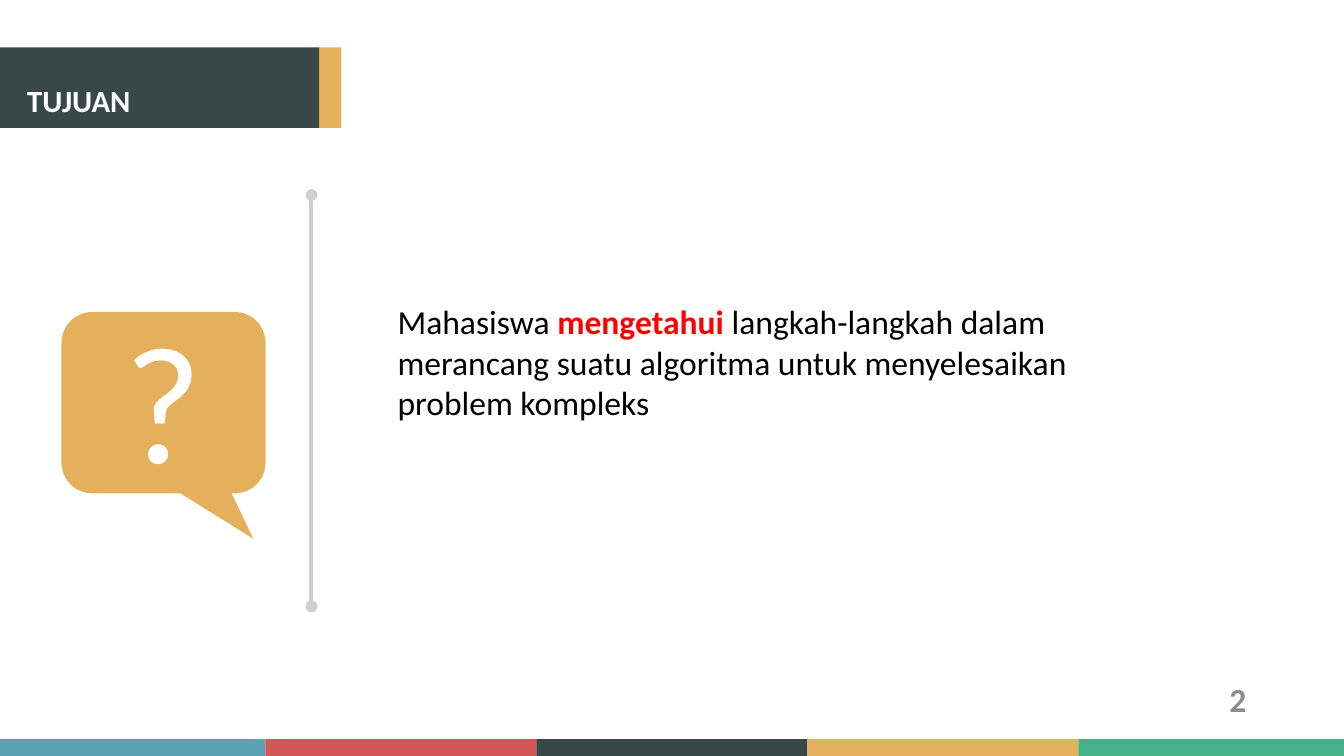
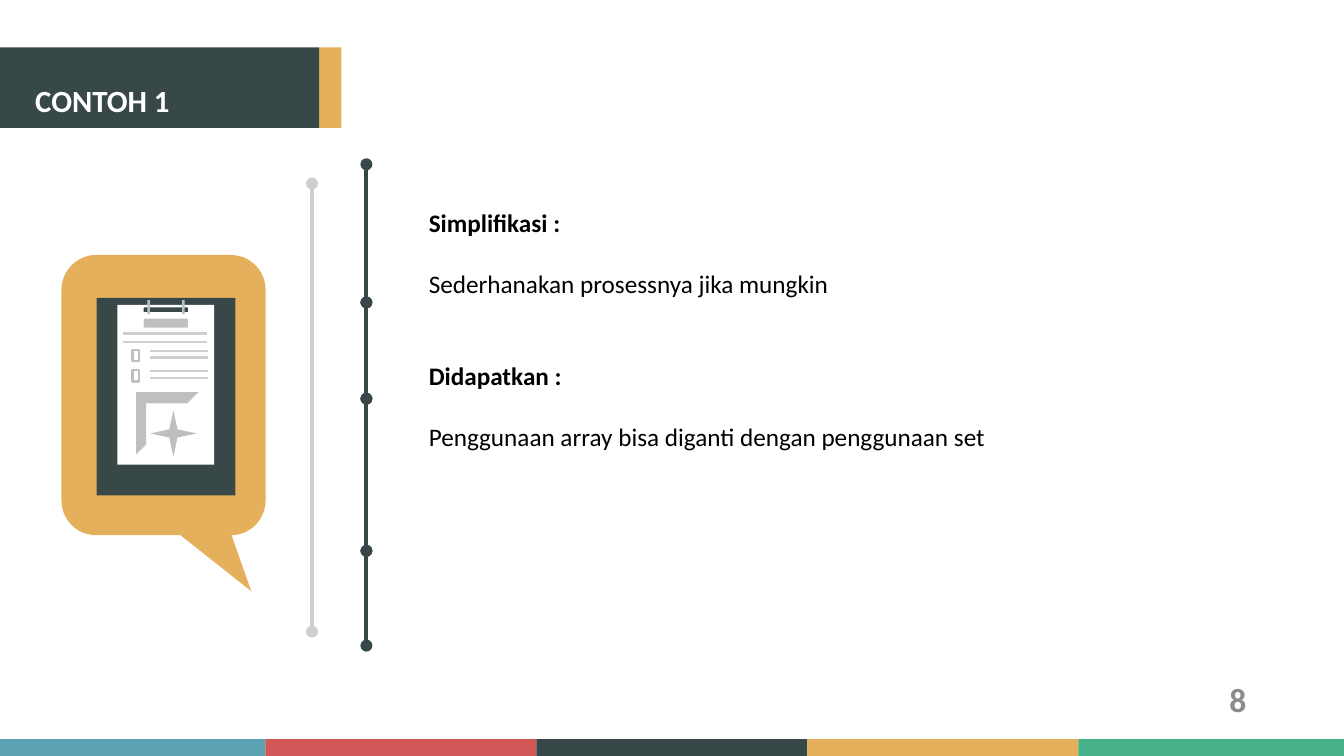
from dataclasses import dataclass
from itertools import pairwise
from typing import NamedTuple

from lxml.etree import SubElement
from pptx import Presentation
from pptx.dml.color import RGBColor
from pptx.enum.shapes import MSO_CONNECTOR, MSO_SHAPE
from pptx.enum.text import MSO_ANCHOR, MSO_AUTO_SIZE, PP_ALIGN
from pptx.oxml.ns import qn
from pptx.slide import Slide
from pptx.util import Inches, Pt

WIDE, HIGH = Inches(26.67), Inches(15)
COLS, ROWS = 80, 45
TEAL, ROSE, DARK, GOLD, GREEN = "5BA2B2", "D15656", "384849", "E5B05C", "47B289"
WHITE, BLACK, RED = "FFFFFF", "000000", "FF0000"
PALE, GREY, DIM = "D0CECE", "BFBFBF", "8C8C8C"
RECT, ROUND = MSO_SHAPE.RECTANGLE, MSO_SHAPE.ROUNDED_RECTANGLE
CALL = MSO_SHAPE.ROUNDED_RECTANGULAR_CALLOUT
FIT = {"word_wrap": True, "auto_size": MSO_AUTO_SIZE.SHAPE_TO_FIT_TEXT}
LOOSE = FIT | {"word_wrap": False}
MID = {"word_wrap": True, "vertical_anchor": MSO_ANCHOR.MIDDLE}


class Box(NamedTuple):
    """A place on the grid, in columns and rows."""
    col: float
    row: float
    wide: float
    high: float


class Run(NamedTuple):
    """A stretch of text in one look."""
    text: str
    bold: bool = False
    hue: str = BLACK


class Para(NamedTuple):
    """A paragraph and the points of space after it."""
    runs: list[Run]
    gap: float = 0


@dataclass
class Form:
    """A filled preset shape."""
    kind: MSO_SHAPE
    box: Box
    fill: str
    edge: str = ""
    turn: float = 0
    bends: tuple[float, ...] = ()


@dataclass
class Page:
    """What differs in the frame of each slide."""
    title: str
    inset: float
    number: str
    rail: tuple[float, float, float]
    bubble: Box
    tail: tuple[float, float, float]


def tint(code: str) -> RGBColor:
    """Turn a hex string into a colour."""
    return RGBColor.from_string(code)


def across(col: float) -> int:
    """Turn columns into a length."""
    return round(WIDE * col / COLS)


def down(row: float) -> int:
    """Turn rows into a length."""
    return round(HIGH * row / ROWS)


def place(box: Box) -> tuple[int, int, int, int]:
    """Turn a grid box into lengths."""
    return across(box.col), down(box.row), across(box.wide), down(box.high)


def dress(item: object, looks: dict) -> None:
    """Set each attribute named in the dict."""
    for name, value in looks.items():
        setattr(item, name, value)


def draw(slide: Slide, form: Form) -> None:
    """Add a preset shape."""
    shape = slide.shapes.add_shape(form.kind, *place(form.box))
    shape.shadow.inherit = False
    shape.rotation = form.turn
    shape.fill.solid()
    shape.fill.fore_color.rgb = tint(form.fill)
    if form.edge:
        shape.line.color.rgb = tint(form.edge)
        shape.line.width = Pt(3)
    else:
        shape.line.fill.background()
    for spot, bend in enumerate(form.bends):
        shape.adjustments[spot] = bend


def link(slide: Slide, start: tuple[float, float], end: tuple[float, float],
         hue: str, size: float, dots: bool = False) -> None:
    """Add a straight line, with round ends if asked."""
    line = slide.shapes.add_connector(
        MSO_CONNECTOR.STRAIGHT, across(start[0]), down(start[1]),
        across(end[0]), down(end[1]))
    line.line.color.rgb = tint(hue)
    line.line.width = Pt(size)
    if dots:
        for tag in ("a:headEnd", "a:tailEnd"):
            SubElement(line.line._get_or_add_ln(), qn(tag), type="oval")
    SubElement(line._element.spPr, qn("a:effectLst"))


def write(slide: Slide, box: Box, size: float, paras: list[Para],
          frame: dict, align: PP_ALIGN = PP_ALIGN.LEFT) -> None:
    """Add a text box."""
    body = slide.shapes.add_textbox(*place(box)).text_frame
    dress(body, frame)
    for spot, para in enumerate(paras):
        line = body.add_paragraph() if spot else body.paragraphs[0]
        dress(line, {"alignment": align, "space_after": Pt(para.gap)})
        for part in para.runs:
            run = line.add_run()
            run.text = part.text
            dress(run.font, {"name": "Calibri", "size": Pt(size), "bold": part.bold})
            run.font.color.rgb = tint(part.hue)


def begin(deck: Presentation, page: Page) -> Slide:
    """Add a slide with its bands, title, rail, bubble and number."""
    slide = deck.slides.add_slide(deck.slide_layouts[6])
    edges = [0, *(15.8 + 16.13 * step for step in range(4)), COLS]
    for (left, right), hue in zip(pairwise(edges), (TEAL, ROSE, DARK, GOLD, GREEN)):
        draw(slide, Form(RECT, Box(left, 44, right - left, 1), hue))
    draw(slide, Form(RECT, Box(19, 2.82, 1.32, 4.8), GOLD))
    draw(slide, Form(RECT, Box(0, 2.82, 19, 4.8), DARK))
    write(slide, Box(page.inset, 4.74, 17, 2.52), 44,
          [Para([Run(page.title, True, WHITE)])], FIT)
    col, top, base = page.rail
    link(slide, (col, base), (col, top), PALE, 5.75, True)
    draw(slide, Form(CALL, page.bubble, GOLD, bends=page.tail))
    write(slide, Box(56.49, 40.44, 18, 2.4), 48,
          [Para([Run(page.number, True, DIM)])], MID, PP_ALIGN.RIGHT)
    return slide


def clip(slide: Slide) -> None:
    """Draw the clipboard with its sheet."""
    draw(slide, Form(RECT, Box(5.76, 17.73, 8.25, 11.76), DARK))
    draw(slide, Form(RECT, Box(6.99, 18.15, 5.76, 9.51), WHITE))
    for left, right, rows in ((7.33, 12.3, (19.86, 20.37)),
                              (8.94, 12.36, (20.88, 21.27, 22.08, 22.5))):
        for row in rows:
            link(slide, (right, row), (left, row), PALE, 3.5)
    for row in (20.82, 22.05):
        draw(slide, Form(RECT, Box(7.89, row, 0.39, 0.66), WHITE, GREY))
    draw(slide, Form(ROUND, Box(8.55, 18.3, 2.64, 0.27), DARK))
    for col in (8.43, 10.5):
        draw(slide, Form(ROUND, Box(col, 18.21, 0.84, 0.15), GREY, turn=90))
    draw(slide, Form(ROUND, Box(8.55, 18.96, 2.64, 0.54), GREY))
    draw(slide, Form(MSO_SHAPE.HALF_FRAME, Box(8.1, 23.34, 3.72, 3.72), GREY,
                     bends=(0.18, 0.16)))
    draw(slide, Form(MSO_SHAPE.STAR_4_POINT, Box(8.94, 24.42, 2.76, 2.76), GREY))


def aim(deck: Presentation) -> None:
    """Build the slide on the goal."""
    slide = begin(deck, Page("TUJUAN", 1.32, "2", (18.54, 11.61, 36.09),
                             Box(3.66, 18.57, 12.15, 10.8), (0.44, 0.75, 0.17)))
    write(slide, Box(7.14, 17.49, 6.54, 12.36), 239,
          [Para([Run("?", hue=WHITE)])], FIT)
    write(slide, Box(23.37, 17.79, 41.16, 7.56), 48, [Para([
        Run("Mahasiswa "), Run("mengetahui ", True, RED),
        Run("langkah-langkah dalam merancang suatu algoritma untuk "
            "menyelesaikan problem kompleks")])], FIT)


def sample(deck: Presentation) -> None:
    """Build the slide on the first example."""
    slide = begin(deck, Page("CONTOH 1", 1.8, "8", (18.57, 10.92, 37.59),
                             Box(3.66, 15.18, 12.15, 16.68), (0.43, 0.7, 0.17)))
    clip(slide)
    for top, base in pairwise((9.78, 18, 23.73, 32.79, 38.43)):
        link(slide, (21.81, top), (21.81, base), DARK, 5.75, True)
    write(slide, Box(25.23, 12.21, 34.02, 16.65), 36, [
        Para([Run("Simplifikasi :", True)], 44),
        Para([Run("Sederhanakan prosessnya jika mungkin")], 88),
        Para([Run("Didapatkan :", True)], 44),
        Para([Run("Penggunaan array bisa diganti dengan penggunaan set")])], LOOSE)


def main() -> None:
    """Build the deck and save it."""
    deck = Presentation()
    dress(deck, {"slide_width": WIDE, "slide_height": HIGH})
    aim(deck)
    sample(deck)
    deck.save("out.pptx")


main()
